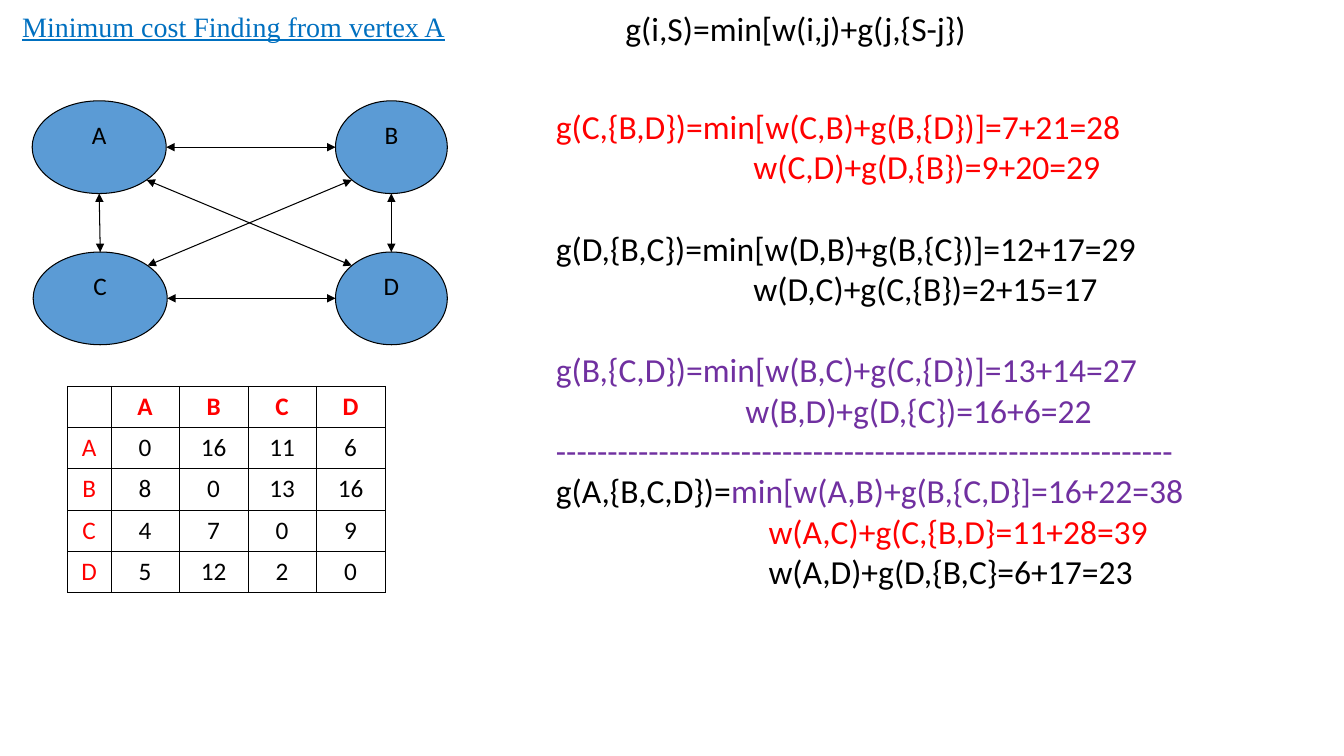
from math import hypot

from lxml.etree import SubElement
from pptx import Presentation
from pptx.dml.color import RGBColor
from pptx.enum.shapes import MSO_CONNECTOR, MSO_SHAPE
from pptx.enum.text import MSO_ANCHOR, MSO_AUTO_SIZE, PP_ALIGN
from pptx.oxml.ns import qn
from pptx.util import Inches, Pt

BLACK = RGBColor(0x00, 0x00, 0x00)
WHITE = RGBColor(0xFF, 0xFF, 0xFF)
RED = RGBColor(0xFF, 0x00, 0x00)
PURPLE = RGBColor(0x70, 0x30, 0xA0)
TITLE_BLUE = RGBColor(0x00, 0x70, 0xC0)
NODE_BLUE = RGBColor(0x5B, 0x9B, 0xD5)


def add_span(para, text, size, color, font="Calibri"):
    span = para.add_run()
    span.text = text
    span.font.size = Pt(size)
    span.font.name = font
    span.font.color.rgb = color
    return span


def rim_point(vertex, across, down):
    """Point on a vertex's outline in the given direction from its centre."""
    left, top, width, height = vertices[vertex]
    reach = 2 * hypot(across, down)
    return (Inches(left + width / 2 + width * across / reach),
            Inches(top + height / 2 + height * down / reach))


deck = Presentation()
deck.slide_width, deck.slide_height = Inches(13.34), Inches(7.5)
page = deck.slides.add_slide(deck.slide_layouts[5])

# Title and recurrence formula
title = page.shapes.title
title.left, title.top, title.width, title.height = map(Inches, (0.12, 0.04, 4.41, 0.44))
frame = title.text_frame
frame.word_wrap = False
frame.auto_size = MSO_AUTO_SIZE.NONE
frame.vertical_anchor = MSO_ANCHOR.TOP
frame.paragraphs[0].alignment = PP_ALIGN.LEFT
heading = add_span(frame.paragraphs[0], "Minimum cost Finding from vertex A", 20,
                   TITLE_BLUE, "Times New Roman")
heading.font.underline = True

formula = page.shapes.add_textbox(*map(Inches, (6.11, 0.03, 5.44, 0.5)))
formula.text_frame.word_wrap = True
add_span(formula.text_frame.paragraphs[0], "g(i,S)=min[w(i,j)+g(j,{S-j})", 24, BLACK)

# Graph: vertices as left, top, width, height
vertices = {
    "A": (0.32, 1.0, 1.33, 0.92),
    "B": (3.33, 1.0, 1.11, 0.92),
    "C": (0.33, 2.5, 1.33, 0.92),
    "D": (3.33, 2.5, 1.11, 0.92),
}
for name, place in vertices.items():
    oval = page.shapes.add_shape(MSO_SHAPE.OVAL, *map(Inches, place))
    oval.shadow.inherit = False
    oval.fill.solid()
    oval.fill.fore_color.rgb = NODE_BLUE
    oval.line.color.rgb = BLACK
    oval.line.width = Pt(0.75)
    oval.text_frame.vertical_anchor = MSO_ANCHOR.TOP
    para = oval.text_frame.paragraphs[0]
    para.alignment = PP_ALIGN.CENTER
    add_span(para, name, 18, BLACK)

# Each edge leaves its first vertex in the given direction
edges = [("A", "B", 1, 0), ("B", "D", 0, 1), ("C", "D", 1, 0),
         ("A", "C", 0, 1), ("A", "D", 1, 1), ("B", "C", -1, 1)]
for start, end, across, down in edges:
    edge = page.shapes.add_connector(MSO_CONNECTOR.STRAIGHT,
                                     *rim_point(start, across, down),
                                     *rim_point(end, -across, -down))
    edge.line.color.rgb = BLACK
    edge.line.width = Pt(0.75)
    outline = edge.line._get_or_add_ln()
    for tip in ("a:headEnd", "a:tailEnd"):
        SubElement(outline, qn(tip), type="triangle")
    SubElement(edge._element.spPr, qn("a:effectLst"))

# Cost matrix
costs = [
    ["", "A", "B", "C", "D"],
    ["A", "0", "16", "11", "6"],
    ["B", "8", "0", "13", "16"],
    ["C", "4", "7", "0", "9"],
    ["D", "5", "12", "2", "0"],
]
matrix = page.shapes.add_table(5, 5, *map(Inches, (0.67, 3.83, 3.16, 2.05))).table
matrix.horz_banding = False
matrix.first_row = False
for index in range(5):
    matrix.columns[index].width = Inches(0.68 if index else 0.43)
    matrix.rows[index].height = Inches(0.41)
for row, values in enumerate(costs):
    for column, value in enumerate(values):
        cell = matrix.cell(row, column)
        cell.margin_left = cell.margin_right = Inches(0.13)
        properties = cell._tc.get_or_add_tcPr()
        for side in ("a:lnL", "a:lnR", "a:lnT", "a:lnB"):
            border = SubElement(properties, qn(side), w=str(Pt(0.45)))
            SubElement(SubElement(border, qn("a:solidFill")), qn("a:srgbClr"), val=str(BLACK))
        cell.fill.solid()
        cell.fill.fore_color.rgb = WHITE
        if value:
            para = cell.text_frame.paragraphs[0]
            para.alignment = PP_ALIGN.CENTER
            span = add_span(para, value, 18, BLACK if row and column else RED)
            span.font.bold = row == 0

# Derivation: indent in inches, gap above in points, then the coloured spans
GAP = 29.3
derivation = [
    (0, 0, [("g(C,{B,D})=min[w(C,B)+g(B,{D})]=7+21=28", RED)]),
    (1.96, 0, [("w(C,D)+g(D,{B})=9+20=29", RED)]),
    (0, GAP, [("g(D,{B,C})=min[w(D,B)+g(B,{C})]=12+17=29", BLACK)]),
    (1.96, 0, [("w(D,C)+g(C,{B})=2+15=17", BLACK)]),
    (0, GAP, [("g(B,{C,D})=min[w(B,C)+g(C,{D})]=13+14=27", PURPLE)]),
    (1.88, 0, [("w(B,D)+g(D,{C})=16+6=22", PURPLE)]),
    (0, 0, [("-" * 60, PURPLE)]),
    (0, 0, [("g(A,{B,C,D})=", BLACK), ("min[w(A,B)+g(B,{C,D}]=16+22=38", PURPLE)]),
    (2.11, 0, [("w(A,C)+g(C,{B,D}=11+28=39", RED)]),
    (2.11, 0, [("w(A,D)+g(D,{B,C}=6+17=23", BLACK)]),
]
steps = page.shapes.add_textbox(*map(Inches, (5.42, 1.0, 6.44, 5.29)))
frame = steps.text_frame
frame.word_wrap = False
for number, (indent, gap, spans) in enumerate(derivation):
    para = frame.add_paragraph() if number else frame.paragraphs[0]
    para._p.get_or_add_pPr().set("marL", str(Inches(indent)))
    para.space_before = Pt(gap)
    for text, color in spans:
        add_span(para, text, 24, color)

deck.save("out.pptx")
